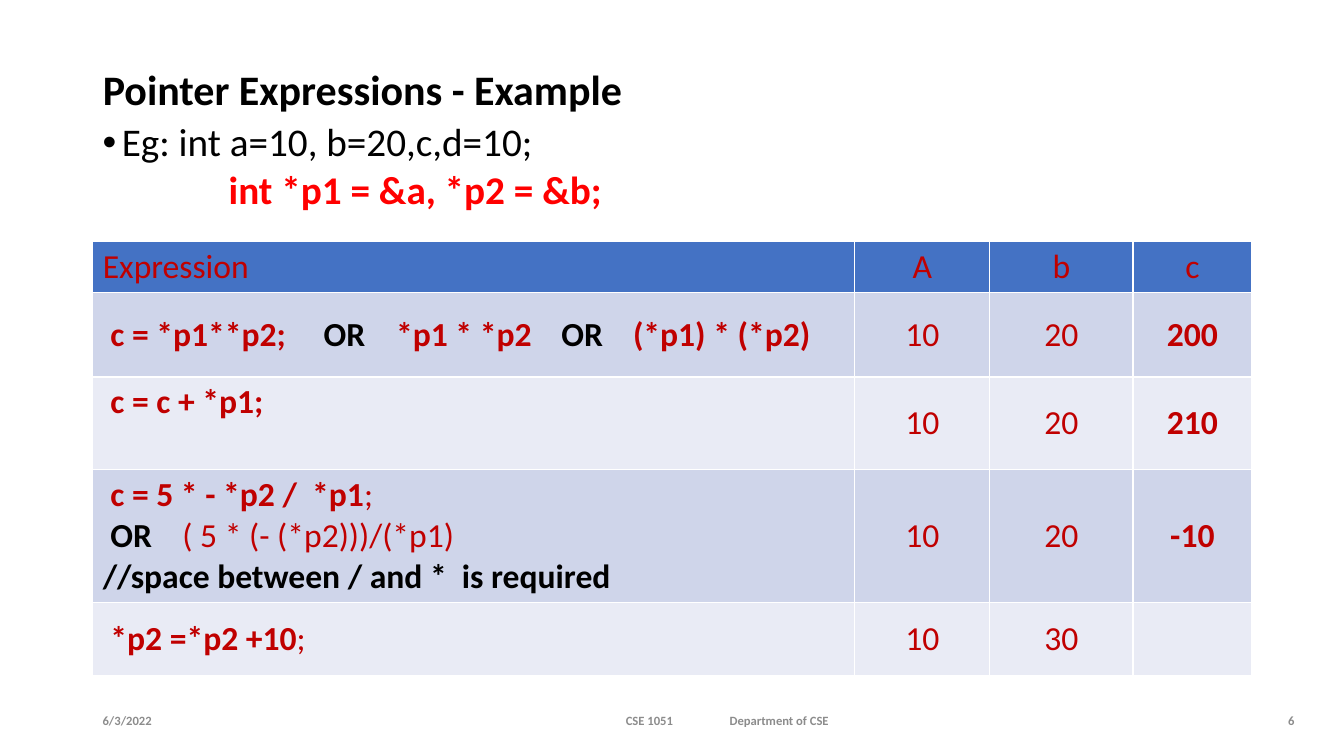
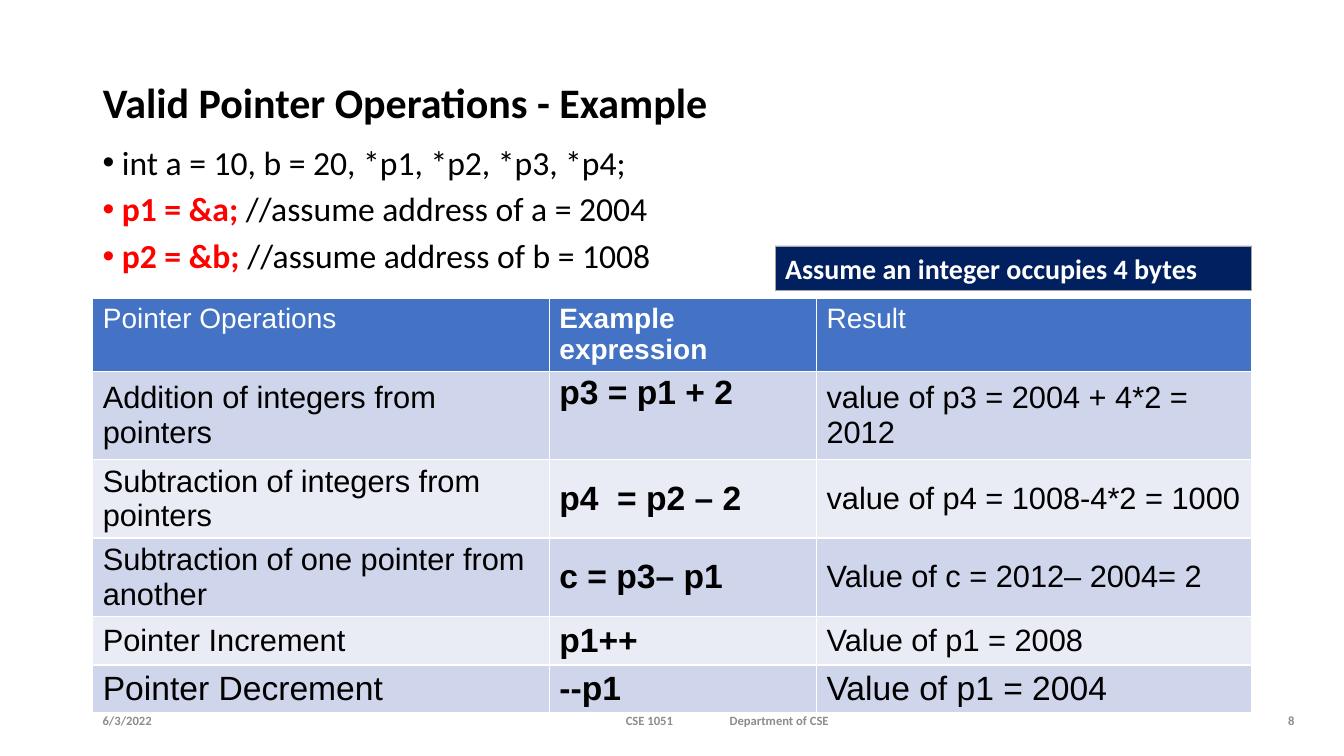
from lxml.etree import SubElement
from pptx import Presentation
from pptx.dml.color import RGBColor
from pptx.enum.shapes import MSO_SHAPE as Shape
from pptx.enum.text import MSO_ANCHOR as Anchor, MSO_AUTO_SIZE as AutoSize, PP_ALIGN as Align
from pptx.oxml.ns import qn
from pptx.util import Pt

PX = 9144
LEFT = 92
BLACK, WHITE, RED, CRIMSON = "000000", "FFFFFF", "FF0000", "C00000"
HEADER, BAND_DARK, BAND_LIGHT = "4472C4", "CFD5EA", "E9EBF5"
NAVY, GREY, LINE_GREY = "002060", "8C8C8C", "A5A5A5"
color = RGBColor.from_string


def write(frame, paragraphs, size, font="Calibri", align=Align.LEFT, tabs=()):
    for index, runs in enumerate(paragraphs):
        paragraph = frame.add_paragraph() if index else frame.paragraphs[0]
        paragraph.alignment = align
        for text, hex_color, bold in runs:
            run = paragraph.add_run()
            run.text = text
            run.font.name = font
            run.font.size = Pt(size)
            run.font.bold = bold
            run.font.color.rgb = color(hex_color)
        if tabs:
            tab_list = SubElement(paragraph._p.get_or_add_pPr(), qn("a:tabLst"))
            for position in tabs:
                SubElement(tab_list, qn("a:tab"), pos=str(position * PX), algn="l")


def add_grid(slide, top, widths, heights):
    table = slide.shapes.add_table(
        len(heights), len(widths), LEFT * PX, top * PX, sum(widths) * PX, sum(heights) * PX
    ).table
    for column, width in zip(table.columns, widths):
        column.width = width * PX
    for index, (row, height) in enumerate(zip(table.rows, heights)):
        row.height = height * PX
        fill = (BAND_DARK if index % 2 else BAND_LIGHT) if index else HEADER
        for cell in row.cells:
            cell.fill.solid()
            cell.fill.fore_color.rgb = color(fill)
            cell.vertical_anchor = Anchor.MIDDLE
    return table


presentation = Presentation()
presentation.slide_width = 12192000
presentation.slide_height = 750 * PX

slides = []
for title_text, title_top, number in (
    ("Pointer Expressions - Example", 57, "6"),
    ("Valid Pointer Operations - Example", 70, "8"),
):
    slide = presentation.slides.add_slide(presentation.slide_layouts[5])
    slides.append(slide)
    title = slide.shapes.title
    title.left, title.top, title.width, title.height = LEFT * PX, title_top * PX, 1202 * PX, 69 * PX
    title.text_frame.auto_size = AutoSize.NONE
    title.text_frame.vertical_anchor = Anchor.MIDDLE
    write(title.text_frame, [[(title_text, BLACK, True)]], 30)
    title.text_frame.paragraphs[0].line_spacing = 0.9

    for text, left, width, align, tabs in (
        ("6/3/2022", LEFT, 126, Align.LEFT, ()),
        ("\tCSE 1051\tDepartment of CSE", 242, 960, Align.LEFT, (369, 472)),
        (number, 1242, 52, Align.RIGHT, ()),
    ):
        footer = slide.shapes.add_textbox(left * PX, 695 * PX, width * PX, 40 * PX).text_frame
        footer.word_wrap = True
        footer.vertical_anchor = Anchor.MIDDLE
        write(footer, [[(text, GREY, True)]], 9, align=align, tabs=tabs)

expressions, operations = slides

for slide, top, height, size, lines in (
    (expressions, 117, 108, 28, [
        [("Eg: int a=10, b=20,c,d=10;", BLACK, False)],
        [("int *p1 = &a, *p2 = &b;", RED, True)],
    ]),
    (operations, 140, 187, 24, [
        [("int a = 10, b = 20, *p1, *p2, *p3, *p4;", BLACK, False)],
        [("p1 = &a; ", RED, True), ("//assume address of a = 2004", BLACK, False)],
        [("p2 = &b; ", RED, True), ("//assume address of b = 1008", BLACK, False)],
    ]),
):
    body = slide.shapes.add_textbox(LEFT * PX, top * PX, 1025 * PX, height * PX).text_frame
    body.word_wrap = True
    write(body, lines, size)
    for index, paragraph in enumerate(body.paragraphs):
        continuation = slide is expressions and index == 1
        paragraph.line_spacing = 0.9
        paragraph.space_before = Pt(3.8 if continuation else 7.5)
        properties = paragraph._p.get_or_add_pPr()
        properties.set("marL", str((125 if continuation else 19) * PX))
        if not continuation:
            properties.set("indent", str(-19 * PX))
            SubElement(properties, qn("a:buFont"), typeface="Arial")
            SubElement(properties, qn("a:buChar"), char="•")

expression_rows = [
    ([[("Expression", CRIMSON, False)]], "A", "b", "c"),
    ([[
        (" c = *p1**p2;", CRIMSON, True), ("\tOR", BLACK, True), ("\t*p1 * *p2", CRIMSON, True),
        ("\tOR", BLACK, True), ("\t(*p1) * (*p2)", CRIMSON, True),
    ]], "10", "20", "200"),
    ([[(" c = c + *p1;", CRIMSON, True)]], "10", "20", "210"),
    ([
        [(" c = 5 * - *p2 /  *p1", CRIMSON, True), (";", CRIMSON, False)],
        [(" OR", BLACK, True), ("\t( 5 * (- (*p2)))/(*p1)", CRIMSON, False)],
        [("//space between / and *  is required", BLACK, True)],
    ], "10", "20", "-10"),
    ([[(" *p2 =*p2 +10", CRIMSON, True), (";", CRIMSON, False)]], "10", "30", ""),
]
table = add_grid(expressions, 239, (756, 134, 142, 118), (51, 84, 92, 132, 72))
for row, (expression, *values) in enumerate(expression_rows):
    tabs = {1: (219, 291, 455, 526), 3: (79,)}.get(row, ())
    write(table.cell(row, 0).text_frame, expression, 24, tabs=tabs)
    for column, value in enumerate(values, 1):
        if value:
            bold = row > 0 and column == 3
            write(table.cell(row, column).text_frame, [[(value, CRIMSON, bold)]], 24, align=Align.CENTER)
table.cell(2, 0).vertical_anchor = Anchor.TOP

operation_rows = [
    ("Pointer Operations", "Example expression", "Result"),
    ("Addition of integers from pointers", "p3 = p1 + 2", "value of p3 = 2004 + 4*2 = 2012"),
    ("Subtraction of integers from pointers", "p4  = p2 – 2", "value of p4 = 1008-4*2 = 1000"),
    ("Subtraction of one pointer from another", "c = p3– p1", "Value of c = 2012– 2004= 2"),
    ("Pointer Increment", "p1++", "Value of p1 = 2008"),
    ("Pointer Decrement", "--p1", "Value of p1 = 2004"),
]
table = add_grid(operations, 296, (453, 265, 432), (72, 87, 78, 78, 48, 47))
for row, texts in enumerate(operation_rows):
    for column, text in enumerate(texts):
        cell = table.cell(row, column)
        cell.margin_top = (2 if row else 5) * PX
        cell.margin_bottom = (2 if row else 1) * PX
        large = column == 1 or row == len(operation_rows) - 1
        size = (24 if large else 22) if row else 20
        write(cell.text_frame, [[(text, BLACK if row else WHITE, column == 1)]], size, "Arial")
        if row == 0 or (row, column) == (1, 1):
            cell.vertical_anchor = Anchor.TOP

note = operations.shapes.add_shape(Shape.RECTANGLE, 769 * PX, 244 * PX, 473 * PX, 44 * PX)
note.shadow.inherit = False
note.fill.solid()
note.fill.fore_color.rgb = color(NAVY)
note.line.color.rgb = color(LINE_GREY)
note.line.width = Pt(0.5)
note.text_frame.word_wrap = True
note.text_frame.vertical_anchor = Anchor.MIDDLE
write(note.text_frame, [[("Assume an integer occupies 4 bytes", WHITE, True)]], 20)

presentation.save("out.pptx")
